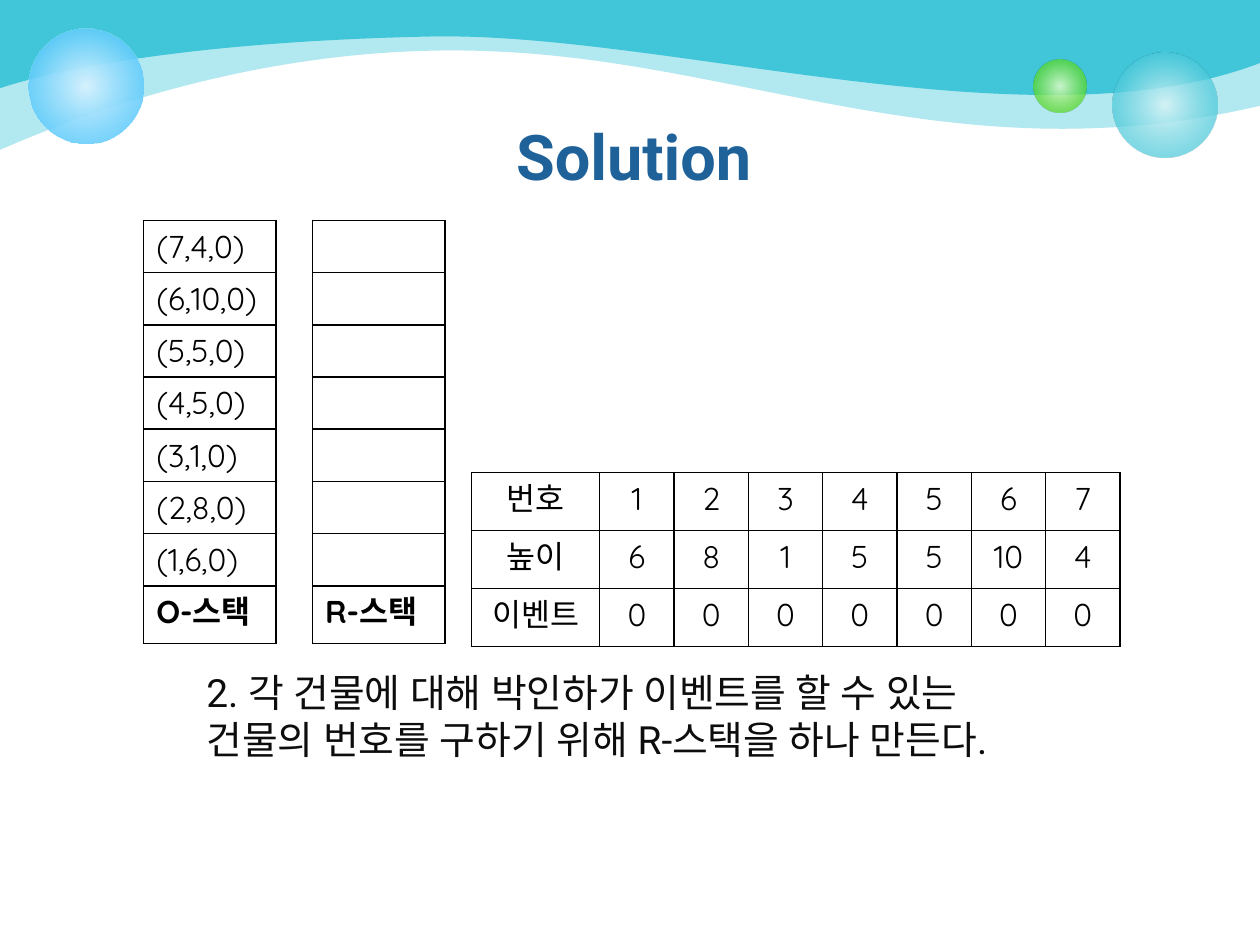
import pptx
import pptx.util
import pptx.dml.color
import pptx.enum.shapes
import pptx.enum.text
import pptx.oxml
import pptx.oxml.ns

In, Pt = pptx.util.Inches, pptx.util.Pt
ALIGN, ANCHOR = pptx.enum.text.PP_ALIGN, pptx.enum.text.MSO_ANCHOR
W, H = 10, 7.5
AQUA, BLACK = "40C6D8", "000000"

TITLE = "Solution"
STEP = "2. 각 건물에 대해 박인하가 이벤트를 할 수 있는 건물의 번호를 구하기 위해 R-스택을 하나 만든다."
HEIGHTS = [6, 8, 1, 5, 5, 10, 4]
COUNT = len(HEIGHTS)
O_STACK = [f"({n},{h},0)" for n, h in reversed(list(enumerate(HEIGHTS, 1)))] + ["O-스택"]
R_STACK = [""] * COUNT + ["R-스택"]
BUILDINGS = [
    ["번호", *range(1, COUNT + 1)],
    ["높이", *HEIGHTS],
    ["이벤트"] + [0] * COUNT,
]
LABEL_ROW = 0.46
STACK_ROWS = [2.9 / COUNT] * COUNT + [LABEL_ROW]

# Lower edge of each wave: start point, then control, control, end of two curves; alpha
WAVES = [
    ([(0, 1.19), (0.33, 1.05), (1.97, 0.31), (3.96, 0.41),
      (5.95, 0.5), (7.62, 1.4), (W, 0.84)], 40),
    ([(0, 0.7), (0.45, 0.55), (1.53, 0.33), (3.41, 0.29),
      (5.29, 0.25), (8.2, 1.19), (W, 0.5)], 100),
]
# left, top, diameter, gradient stops (position, colour, alpha)
BUBBLES = [
    (8.83, 0.42, 0.83, [(0, "D9F4F7", 90), (76, AQUA, 70)]),
    (8.2, 0.47, 0.42, [(0, "DAFACD", 90), (76, "4CD416", 70)]),
    (0.23, 0.23, 0.91, [(0, "D6F2FE", 100), (100, "33BDFB", 80)]),
]


def rgb(color):
    return pptx.dml.color.RGBColor.from_string(color)


def xml(tag, inner="", attrs=""):
    return pptx.oxml.parse_xml(
        f"<a:{tag} {pptx.oxml.ns.nsdecls('a')} {attrs}>{inner}</a:{tag}>")


def color_xml(color, alpha=100):
    return f'<a:srgbClr val="{color}"><a:alpha val="{alpha * 1000}"/></a:srgbClr>'


def set_fill(sp, fill):
    """Replace the fill of a shape by a fill element, and drop its line and shadow."""
    sp.fill.background()
    old = sp._element.spPr.find(pptx.oxml.ns.qn("a:noFill"))
    old.getparent().replace(old, fill)
    sp.line.fill.background()
    sp.shadow.inherit = False


def add_wave(s, edge, alpha):
    """Draw the outline through all points, then turn the edge's lines into curves."""
    fb = s.shapes.build_freeform(0, 0, scale=In(0.01))
    fb.add_line_segments([(round(x * 100), round(y * 100)) for x, y in edge + [(W, 0)]],
                         close=True)
    sp = fb.convert_to_shape()
    lines = list(sp._element.iter(pptx.oxml.ns.qn("a:lnTo")))[1:len(edge)]
    for i in range(0, len(lines), 3):
        curve = xml("cubicBezTo")
        lines[i].addprevious(curve)
        for line in lines[i:i + 3]:
            curve.append(line[0])
            line.getparent().remove(line)
    set_fill(sp, xml("solidFill", color_xml(AQUA, alpha)))


def add_bubble(s, x, y, d, stops):
    sp = s.shapes.add_shape(pptx.enum.shapes.MSO_SHAPE.OVAL, In(x), In(y), In(d), In(d))
    gs = "".join(f'<a:gs pos="{pos * 1000}">{color_xml(c, a)}</a:gs>' for pos, c, a in stops)
    set_fill(sp, xml("gradFill", f'<a:gsLst>{gs}</a:gsLst><a:path path="circle">'
                     '<a:fillToRect l="50000" t="50000" r="50000" b="50000"/></a:path>'))


def add_run(p, text, size, font, color, bold=False):
    r = p.add_run()
    r.text = text
    r.font.size, r.font.name, r.font.bold = Pt(size), font, bold
    r.font.color.rgb = rgb(color)
    r._r.get_or_add_rPr().append(xml("ea", attrs=f'typeface="{font}"'))


def add_grid(s, x, y, widths, heights, rows, align=ALIGN.LEFT, bold_last=False):
    """Add an unfilled table with thin black borders."""
    table = s.shapes.add_table(len(rows), len(widths), In(x), In(y),
                               In(sum(widths)), In(sum(heights))).table
    table.first_row = table.horz_banding = False
    for col, w in zip(table.columns, widths):
        col.width = In(w)
    for row, h in zip(table.rows, heights):
        row.height = In(h)
    for i, row in enumerate(rows):
        for j, value in enumerate(row):
            cell = table.cell(i, j)
            for side in "LRTB":
                cell._tc.get_or_add_tcPr().append(
                    xml(f"ln{side}", f"<a:solidFill>{color_xml(BLACK)}</a:solidFill>", 'w="12700"'))
            cell.fill.background()
            p = cell.text_frame.paragraphs[0]
            p.alignment = align
            if value != "":
                add_run(p, str(value), 18, "Quicksand", BLACK,
                        bold_last and i == len(rows) - 1)


def main():
    prs = pptx.Presentation()
    prs.slide_width, prs.slide_height = In(W), In(H)
    s = prs.slides.add_slide(prs.slide_layouts[5])

    title = s.shapes.title
    title.left, title.top, title.width, title.height = In(0.53), In(0.89), In(9), In(0.79)
    tf = title.text_frame
    tf.vertical_anchor = ANCHOR.MIDDLE
    tf.margin_bottom = In(0.15)
    p = tf.paragraphs[0]
    p.alignment = ALIGN.CENTER
    add_run(p, TITLE, 36, "Roboto", "1F6299", True)

    for wave in WAVES:
        add_wave(s, *wave)
    for bubble in BUBBLES:
        add_bubble(s, *bubble)
    s.shapes._spTree.append(title._element)  # title in front of the waves

    tf = s.shapes.add_textbox(In(1.54), In(5.26), In(6.96), In(1.01)).text_frame
    tf.word_wrap = True
    add_run(tf.paragraphs[0], STEP, 22.2, "Roboto", "0D0D0D")

    for x, stack in ((1.14, O_STACK), (2.48, R_STACK)):
        add_grid(s, x, 1.75, [1.05], STACK_ROWS, [[item] for item in stack], bold_last=True)
    add_grid(s, 3.74, 3.75, [1.02] + [0.59] * COUNT, [LABEL_ROW] * len(BUILDINGS),
             BUILDINGS, ALIGN.CENTER)

    prs.save("out.pptx")


if __name__ == "__main__":
    main()
